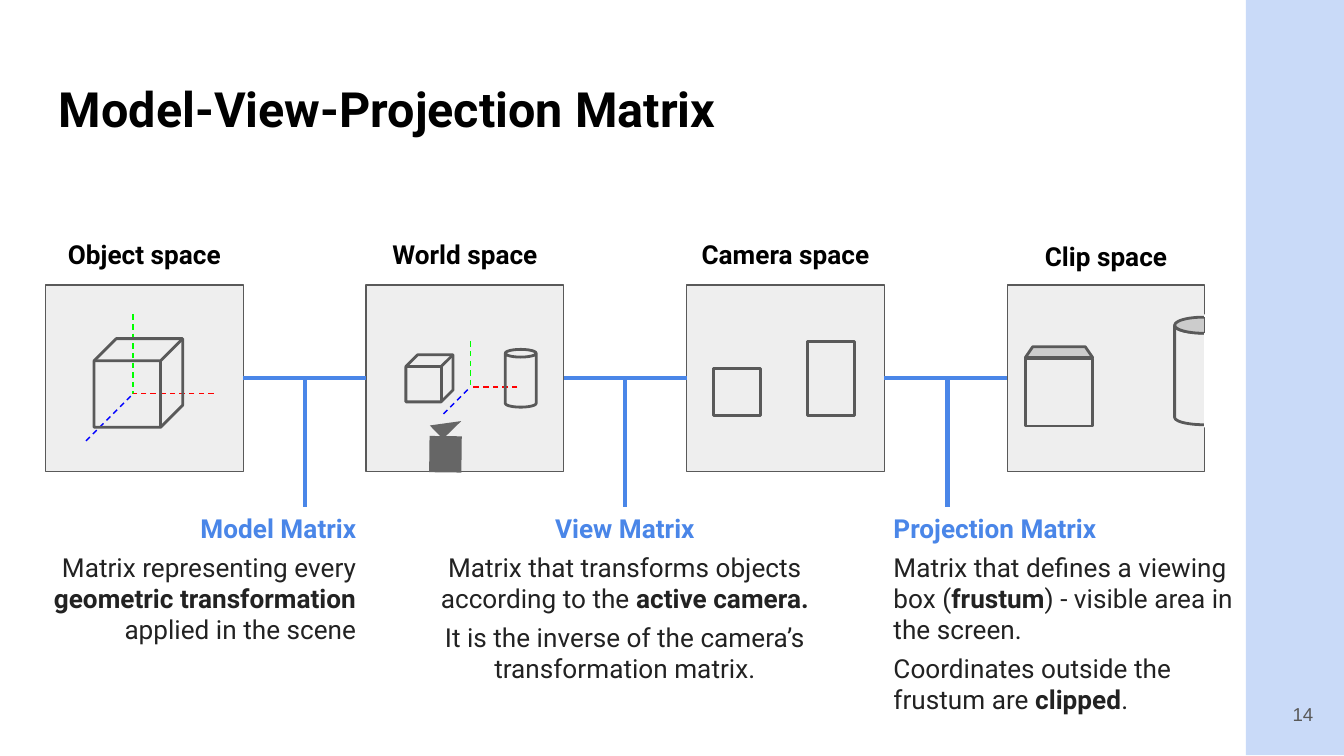
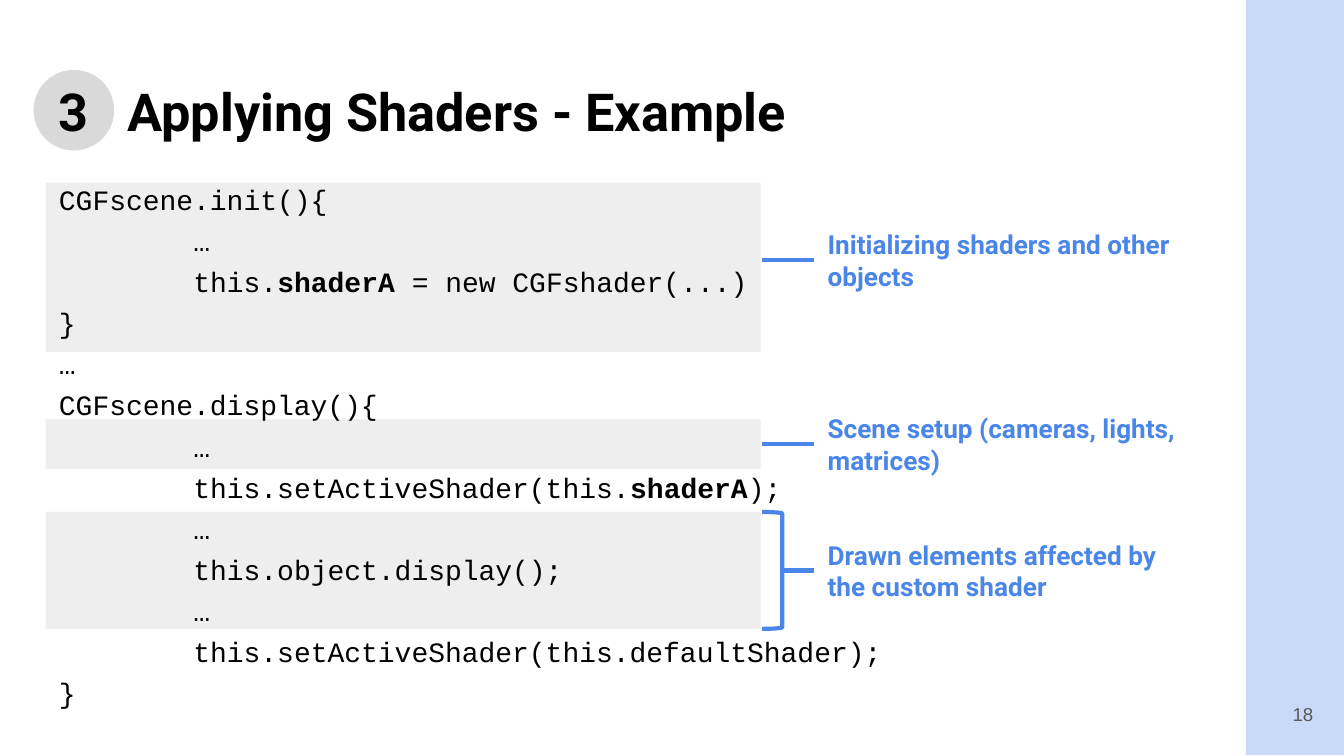
"""Builds two slides on shader matrices and on applying shaders."""
from lxml import etree
from pptx import Presentation
from pptx.dml.color import RGBColor
from pptx.enum.dml import MSO_LINE
from pptx.enum.shapes import MSO_CONNECTOR, MSO_SHAPE
from pptx.enum.text import MSO_ANCHOR, PP_ALIGN
from pptx.oxml.ns import qn
from pptx.util import Inches, Pt

LINE = MSO_CONNECTOR.STRAIGHT
RECTANGLE, OVAL = MSO_SHAPE.RECTANGLE, MSO_SHAPE.OVAL
CUBE, CAN, TRAPEZOID = MSO_SHAPE.CUBE, MSO_SHAPE.CAN, MSO_SHAPE.TRAPEZOID
TRIANGLE, BRACKET = MSO_SHAPE.RIGHT_TRIANGLE, MSO_SHAPE.RIGHT_BRACKET
DASH = MSO_LINE.DASH
LEFT, CENTER, RIGHT = PP_ALIGN.LEFT, PP_ALIGN.CENTER, PP_ALIGN.RIGHT
TOP, MIDDLE = MSO_ANCHOR.TOP, MSO_ANCHOR.MIDDLE

WHITE = RGBColor(0xFF, 0xFF, 0xFF)
BLACK = RGBColor(0x00, 0x00, 0x00)
BAND = RGBColor(0xC9, 0xDA, 0xF8)
BLUE = RGBColor(0x4A, 0x86, 0xE8)
PANEL = RGBColor(0xEE, 0xEE, 0xEE)
BADGE = RGBColor(0xD9, 0xD9, 0xD9)
LID = RGBColor(0xCC, 0xCC, 0xCC)
CAMERA = RGBColor(0x66, 0x66, 0x66)
OUTLINE = RGBColor(0x59, 0x59, 0x59)
INK = RGBColor(0x22, 0x22, 0x22)
AXIS_X = RGBColor(0xFF, 0x00, 0x00)
AXIS_Y = RGBColor(0x00, 0xFF, 0x00)
AXIS_Z = RGBColor(0x00, 0x00, 0xFF)


def draw(shapes, kind, at, fill=None, line=None, width=1.5, dash=None, adjust=None, turn=0):
    """Draw a shape in a left, top, width, height box or a line between two points."""
    lengths = [Inches(value) for value in at]
    if kind is LINE:
        item = shapes.add_connector(LINE, *lengths)
        etree.SubElement(item._element.spPr, qn("a:effectLst"))
    else:
        item = shapes.add_shape(kind, *lengths)
        item.shadow.inherit = False
        item.rotation = turn
        if adjust is not None:
            item.adjustments[0] = adjust
        if fill is None:
            item.fill.background()
        else:
            item.fill.solid()
            item.fill.fore_color.rgb = fill
    if line is None:
        item.line.fill.background()
    else:
        item.line.color.rgb = line
        item.line.width = Pt(width)
        if dash:
            item.line.dash_style = dash


def write(page, at, paragraphs, size=14, font="Roboto", color=BLACK, bold=False, align=LEFT,
          anchor=TOP, before=0, tab=None, lead=None):
    """Write paragraphs in which ** switches bold; lead colours a bold first paragraph."""
    box = page.shapes.add_textbox(*[Inches(value) for value in at])
    frame = box.text_frame
    frame.word_wrap = True
    frame.vertical_anchor = anchor
    frame.margin_left = frame.margin_right = Inches(0.1)
    frame.margin_top = frame.margin_bottom = Inches(0.1)
    for index, text in enumerate(paragraphs):
        para = frame.add_paragraph() if index else frame.paragraphs[0]
        is_lead = lead is not None and index == 0
        para.alignment = align
        para.space_before = Pt(before if index else 0)
        if tab:
            stops = etree.SubElement(para._p.get_or_add_pPr(), qn("a:tabLst"))
            etree.SubElement(stops, qn("a:tab"), pos=str(Inches(tab)), algn="l")
        for part, words in enumerate(text.split("**")):
            if words:
                span = para.add_run()
                span.text = words
                span.font.name = font
                span.font.size = Pt(size)
                span.font.bold = bold or is_lead or part % 2 == 1
                span.font.color.rgb = lead if is_lead else color


deck = Presentation()
deck.slide_width, deck.slide_height = Inches(10), Inches(5.625)

pages = []
for number in ("14", "18"):
    page = deck.slides.add_slide(deck.slide_layouts[6])
    draw(page.shapes, RECTANGLE, (9.27, -0.02, 0.73, 5.64), fill=BAND)
    write(page, (9.27, 5.1, 0.6, 0.43), [number], size=10, font="Arial", color=OUTLINE,
          align=RIGHT, anchor=MIDDLE)
    pages.append(page)
TITLE_AT = (0.34, 0.49, 9.32, 0.63)

page = pages[0]
shapes = page.shapes
write(page, TITLE_AT, ["Model-View-Projection Matrix"], size=26, bold=True)

PANEL_LEFT, PANEL_STEP, PANEL_WIDTH = 0.34, 2.385, 1.47
spaces = [("Object space", 1.67), ("World space", 1.67), ("Camera space", 1.67), ("Clip space", 1.69)]
for index, (name, top) in enumerate(spaces):
    left = PANEL_LEFT + index * PANEL_STEP
    draw(shapes, RECTANGLE, (left, 2.12, PANEL_WIDTH, 1.39), PANEL, OUTLINE, 0.75)
    write(page, (left, top, PANEL_WIDTH, 0.42), [name], bold=True, align=CENTER)
    if index:
        draw(shapes, LINE, (left - PANEL_STEP + PANEL_WIDTH, 2.81, left, 2.81), line=BLUE, width=2.25)

matrices = [
    (2.27, (0.25, 3.71, 2.5, 0.79), RIGHT, [
        "Model Matrix",
        "Matrix representing every **geometric transformation** applied in the scene"]),
    (4.65, (3.17, 3.71, 2.96, 1.19), CENTER, [
        "View Matrix",
        "Matrix that transforms objects according to the **active camera.**",
        "It is the inverse of the camera’s transformation matrix."]),
    (7.05, (6.55, 3.71, 2.73, 1.39), LEFT, [
        "Projection Matrix",
        "Matrix that defines a viewing box (**frustum**) - visible area in the screen.",
        "Coordinates outside the frustum are **clipped**."]),
]
for stem, at, align, paragraphs in matrices:
    draw(shapes, LINE, (stem, 2.8, stem, 3.77), line=BLUE, width=2.25)
    write(page, at, paragraphs, color=INK, align=align, before=4, lead=BLUE)

axes = [
    (0.99, 2.93, 0.59, 0.6, 0.35),
    (3.5, 2.88, 0.34, 0.35, 0.2),
]
for x, y, up, across, depth in axes:
    group = shapes.add_group_shape().shapes
    draw(group, LINE, (x, y - up, x, y), line=AXIS_Y, width=0.75, dash=DASH)
    draw(group, LINE, (x + across, y, x, y), line=AXIS_X, width=0.75, dash=DASH)
    draw(group, LINE, (x - depth, y + depth, x, y), line=AXIS_Z, width=0.75, dash=DASH)

camera = shapes.add_group_shape().shapes
draw(camera, RECTANGLE, (3.18, 3.26, 0.27, 0.24), CAMERA, turn=270.7)
draw(camera, TRIANGLE, (3.22, 3.08, 0.19, 0.14), CAMERA, turn=315.7)

solids = [
    (CUBE, (0.7, 2.52, 0.66, 0.66), None, 0.25),
    (CUBE, (3.02, 2.64, 0.35, 0.35), None, 0.25),
    (CAN, (3.76, 2.6, 0.23, 0.43), None, 0.25),
    (RECTANGLE, (5.31, 2.74, 0.35, 0.35), PANEL, None),
    (RECTANGLE, (6.01, 2.54, 0.35, 0.55), PANEL, None),
    (RECTANGLE, (7.63, 2.67, 0.5, 0.5), PANEL, None),
    (TRAPEZOID, (7.63, 2.58, 0.5, 0.08), LID, 0.68),
    (CAN, (8.74, 2.37, 0.43, 0.79), None, 0.25),
    (OVAL, (8.74, 2.36, 0.43, 0.12), LID, None),
]
for kind, at, fill, adjust in solids:
    draw(shapes, kind, at, fill, OUTLINE, adjust=adjust)
draw(shapes, RECTANGLE, (8.96, 2.34, 0.23, 0.84), WHITE)
draw(shapes, LINE, (8.96, 2.48, 8.96, 2.36), line=OUTLINE, width=0.75)

page = pages[1]
shapes = page.shapes
for top, height in ((1.36, 1.26), (3.12, 0.37), (3.81, 0.87)):
    draw(shapes, RECTANGLE, (0.34, top, 5.32, height), PANEL)
draw(shapes, OVAL, (0.25, 0.52, 0.6, 0.6), BADGE)
write(page, TITLE_AT, ["3\tApplying Shaders - Example"], size=28, bold=True, tab=0.51)

code = [
    "CGFscene.init(){",
    "\t…",
    "\tthis.**shaderA** = new CGFshader(...)",
    "}",
    "…",
    "CGFscene.display(){",
    "\t…",
    "\tthis.setActiveShader(this.**shaderA**);",
    "\t…",
    "\tthis.object.display();",
    "\t…",
    "\tthis.setActiveShader(this.defaultShader);",
    "}",
]
write(page, (0.34, 1.26, 8.92, 3.84), code, size=15, font="Courier New", before=4, tab=1)

draw(shapes, BRACKET, (5.67, 3.81, 0.15, 0.87), line=BLUE, width=2.25, adjust=0.08)
remarks = [
    ("Initializing shaders and other objects", (6.06, 1.69, 2.96, 0.49), 5.67),
    ("Scene setup (cameras, lights, matrices)", (6.06, 3.12, 3.24, 0.37), 5.67),
    ("Drawn elements affected by the custom shader", (6.06, 4.06, 2.76, 0.37), 5.82),
]
for text, at, start in remarks:
    middle = at[1] + at[3] / 2
    draw(shapes, LINE, (at[0], middle, start, middle), line=BLUE, width=2.25)
    write(page, at, [text], color=BLUE, bold=True, anchor=MIDDLE)

deck.save("out.pptx")
